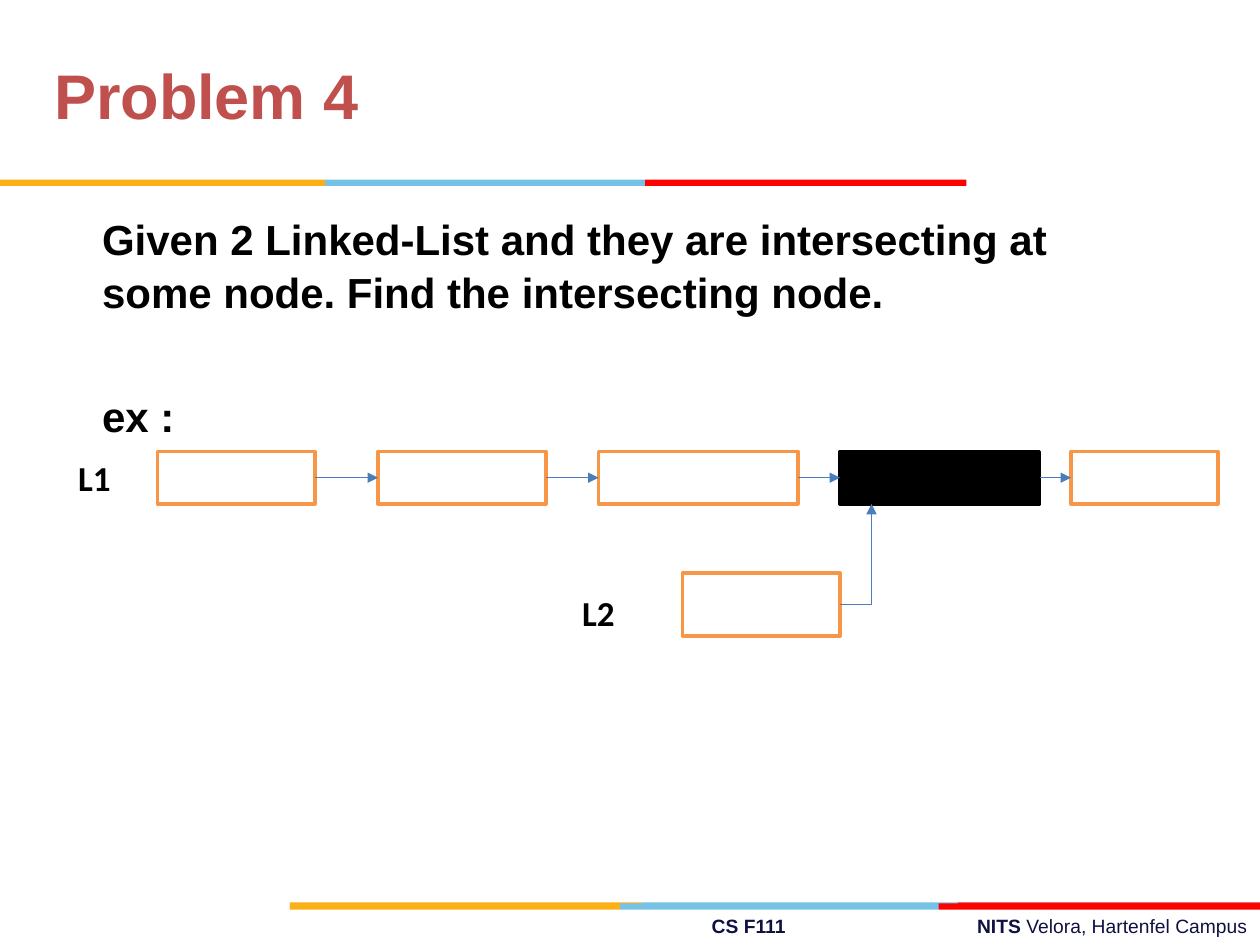
"""Build a slide that shows two linked lists meeting at a shared node."""
from dataclasses import dataclass
from itertools import pairwise

from lxml import etree
from pptx import Presentation
from pptx.dml.color import RGBColor
from pptx.enum.shapes import MSO_CONNECTOR, MSO_SHAPE
from pptx.enum.text import MSO_ANCHOR, MSO_AUTO_SIZE, PP_ALIGN
from pptx.oxml.ns import qn
from pptx.shapes.autoshape import Shape
from pptx.shapes.connector import Connector
from pptx.slide import Slide
from pptx.text.text import _Paragraph
from pptx.util import Inches, Pt

RECTANGLE = MSO_SHAPE.RECTANGLE
STRAIGHT, ELBOW = MSO_CONNECTOR.STRAIGHT, MSO_CONNECTOR.ELBOW
LEFT, CENTER, RIGHT = PP_ALIGN.LEFT, PP_ALIGN.CENTER, PP_ALIGN.RIGHT
TOP, MIDDLE = MSO_ANCHOR.TOP, MSO_ANCHOR.MIDDLE
NO_AUTOFIT = MSO_AUTO_SIZE.NONE
LEFT_SIDE, RIGHT_SIDE = 1, 3

WHITE = RGBColor(0xFF, 0xFF, 0xFF)
BLACK = RGBColor(0x00, 0x00, 0x00)
ORANGE = RGBColor(0xF7, 0x96, 0x46)
ARROW_BLUE = RGBColor(0x4A, 0x7E, 0xBB)
TITLE_RED = RGBColor(0xC0, 0x50, 0x4D)
NAVY = RGBColor(0x10, 0x11, 0x41)
YELLOW = RGBColor(0xFC, 0xB0, 0x17)
SKY = RGBColor(0x76, 0xC2, 0xE5)
CRIMSON = RGBColor(0xE3, 0x1C, 0x24)
RED = RGBColor(0xFF, 0x00, 0x00)

SLIDE_WIDTH, SLIDE_HEIGHT = Inches(10), Inches(7.5)
CELL = SLIDE_WIDTH // 120
LIST_ROW, BRANCH_ROW = 43, 54.6


@dataclass(frozen=True)
class Box:
    """A rectangle on the grid, with its fill, outline and label."""
    column: float
    row: float
    columns: float
    rows: float
    fill: RGBColor = WHITE
    outline: RGBColor | None = ORANGE
    label: str = ""


@dataclass(frozen=True)
class Strip:
    """Three colour bars side by side, given as shares of the slide."""
    top: float
    edges: tuple[float, ...]
    colors: tuple[RGBColor, ...]


STRIPS = (
    Strip(0.955, (0.23, 0.51, 0.76, 1), (YELLOW, SKY, CRIMSON)),
    Strip(0.956, (0.23, 0.492, 0.745, 1), (YELLOW, SKY, RED)),
    Strip(0.19, (0, 0.258, 0.512, 0.767), (YELLOW, SKY, RED)),
)
LIST_NODES = (
    Box(15, LIST_ROW, 15, 5),
    Box(36, LIST_ROW, 16, 5),
    Box(57, LIST_ROW, 19, 5),
    Box(80, LIST_ROW, 19, 5, BLACK, BLACK),
    Box(102, LIST_ROW, 14, 5),
)
BRANCH_NODE = Box(65, BRANCH_ROW, 15, 6)
LABELS = (
    Box(5, LIST_ROW, 8, 5, outline=None, label="L1"),
    Box(53, BRANCH_ROW, 8, 7.4, outline=None, label="L2"),
)


def grid(cells: float) -> int:
    """Turn a number of grid cells into a length."""
    return round(cells * CELL)


def add_run(paragraph: _Paragraph, text: str, size: float, color: RGBColor,
            font: str = "Arial", bold: bool = True) -> None:
    """Add one formatted run."""
    run = paragraph.add_run()
    run.text = text
    run.font.name, run.font.size, run.font.bold = font, Pt(size), bold
    run.font.color.rgb = color


def add_rectangle(slide: Slide, left: int, top: int, width: int, height: int,
                  fill: RGBColor, outline: RGBColor | None = None) -> Shape:
    """Add a flat rectangle."""
    shape = slide.shapes.add_shape(RECTANGLE, left, top, width, height)
    shape.shadow.inherit = False
    shape.fill.solid()
    shape.fill.fore_color.rgb = fill
    if outline is None:
        shape.line.fill.background()
    else:
        shape.line.color.rgb = outline
        shape.line.width = Pt(2)
    return shape


def add_strip(slide: Slide, strip: Strip) -> None:
    """Add the colour bars of one strip."""
    for (start, end), color in zip(pairwise(strip.edges), strip.colors):
        add_rectangle(slide, round(start * SLIDE_WIDTH), round(strip.top * SLIDE_HEIGHT),
                      round((end - start) * SLIDE_WIDTH), Inches(0.05), color)


def add_box(slide: Slide, box: Box) -> Shape:
    """Add a list node or a label."""
    shape = add_rectangle(slide, grid(box.column), grid(box.row), grid(box.columns),
                          grid(box.rows), box.fill, box.outline)
    if box.label:
        shape.text_frame.vertical_anchor = MIDDLE
        paragraph = shape.text_frame.paragraphs[0]
        paragraph.alignment = CENTER
        add_run(paragraph, box.label, 20, BLACK, "Calibri")
    return shape


def style_arrow(connector: Connector) -> None:
    """Give a connector a thin blue line and an arrowhead, without shadow."""
    connector.line.color.rgb = ARROW_BLUE
    connector.line.width = Pt(0.75)
    properties = connector._element.spPr
    etree.SubElement(properties.find(qn("a:ln")), qn("a:tailEnd"), type="triangle")
    etree.SubElement(properties, qn("a:effectLst"))


def link_nodes(slide: Slide, source: Shape, target: Shape) -> None:
    """Join two neighbouring nodes with an arrow."""
    connector = slide.shapes.add_connector(STRAIGHT, 0, 0, 0, 0)
    connector.begin_connect(source, RIGHT_SIDE)
    connector.end_connect(target, LEFT_SIDE)
    style_arrow(connector)


def add_branch_arrow(slide: Slide, source: Box, target: Box) -> None:
    """Lead the second list up into the shared node."""
    start_column = source.column + source.columns
    connector = slide.shapes.add_connector(
        ELBOW, grid(start_column), grid(source.row + source.rows / 2),
        grid(start_column + 3), grid(target.row + target.rows))
    connector._element.spPr.find(qn("a:prstGeom")).set("prst", "bentConnector2")
    style_arrow(connector)


def place(shape: Shape, left: float, top: float, width: float, height: float) -> None:
    """Move and size a placeholder in inches."""
    shape.left, shape.top = Inches(left), Inches(top)
    shape.width, shape.height = Inches(width), Inches(height)
    shape.text_frame.auto_size = NO_AUTOFIT


def fill_title(title: Shape) -> None:
    """Write the slide title."""
    place(title, 0.33, 0.17, 6.92, 1.25)
    title.text_frame.vertical_anchor = MIDDLE
    paragraph = title.text_frame.paragraphs[0]
    paragraph.alignment, paragraph.line_spacing = LEFT, Pt(36)
    add_run(paragraph, "Problem 4", 36, TITLE_RED)


def fill_body(body: Shape) -> None:
    """Write the task and the lead-in to the example."""
    place(body, 0.33, 1.63, 9, 4.95)
    frame = body.text_frame
    frame.vertical_anchor = TOP
    task = "Given 2 Linked-List and they are intersecting at some node. Find the intersecting node."
    for index, (text, gap) in enumerate(((task, 2), ("ex :", 41))):
        paragraph = frame.add_paragraph() if index else frame.paragraphs[0]
        paragraph.space_before, paragraph.line_spacing = Pt(gap), 1.04
        properties = paragraph._p.get_or_add_pPr()
        properties.set("marL", str(Inches(0.38)))
        properties.set("indent", "0")
        etree.SubElement(properties, qn("a:buNone"))
        add_run(paragraph, text, 24, BLACK)


def add_footer(slide: Slide, left: float, width: float, alignment: PP_ALIGN,
               runs: tuple[tuple[str, bool], ...]) -> None:
    """Add one piece of the footer line."""
    text_box = slide.shapes.add_textbox(Inches(left), Inches(7.21), Inches(width), Inches(0.29))
    text_box.text_frame.word_wrap = True
    paragraph = text_box.text_frame.paragraphs[0]
    paragraph.alignment = alignment
    for text, bold in runs:
        add_run(paragraph, text, 11, NAVY, bold=bold)


def main() -> None:
    """Build and save the presentation."""
    presentation = Presentation()
    presentation.slide_width, presentation.slide_height = SLIDE_WIDTH, SLIDE_HEIGHT
    slide = presentation.slides.add_slide(presentation.slide_layouts[1])
    fill_title(slide.shapes.title)
    fill_body(slide.placeholders[1])
    add_footer(slide, 5.55, 1, LEFT, (("CS F111", True),))
    add_footer(slide, 7, 3, RIGHT, (("NITS ", True), ("Velora, Hartenfel Campus", False)))
    for strip in STRIPS:
        add_strip(slide, strip)
    nodes = [add_box(slide, box) for box in LIST_NODES]
    for box in (BRANCH_NODE, *LABELS):
        add_box(slide, box)
    for source, target in pairwise(nodes):
        link_nodes(slide, source, target)
    add_branch_arrow(slide, BRANCH_NODE, LIST_NODES[3])
    presentation.save("out.pptx")


if __name__ == "__main__":
    main()
